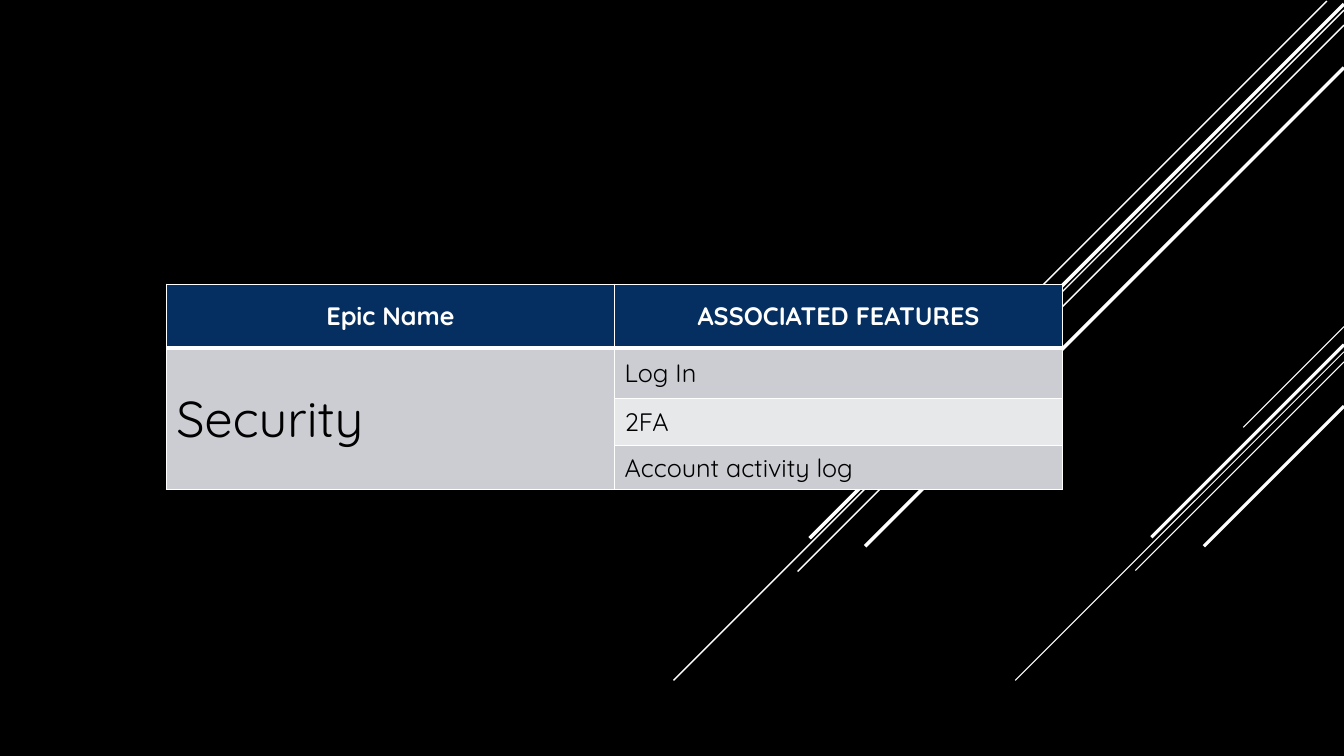
"""Build a dark slide with a table of one epic and its features."""
from lxml import etree
from pptx import Presentation
from pptx import util as u
from pptx.dml.color import RGBColor
from pptx.enum import shapes, text
from pptx.oxml.ns import qn

HEADINGS = ["Epic Name", "ASSOCIATED FEATURES"]
EPIC = "Security"
FEATURES = ["Log In", "2FA", "Account activity log"]

WIDTH, HEIGHT = 13.33, 7.5
TABLE_LEFT, TABLE_TOP, TABLE_WIDTH = 1.65, 2.82, 8.89
ROW_HEIGHTS = [0.63, 0.5, 0.47, 0.44]

# Diagonal rays: right end, top, run (equal across and down), weight in points
RAYS = [
    (WIDTH, 3.24, 1.0, 0.75),
    (WIDTH, 3.49, 3.26, 0.75),
    (WIDTH, 3.59, 2.07, 0.75),
    (WIDTH, 3.42, 1.91, 2.25),
    (WIDTH, 4.03, 1.39, 2.25),
    (13.16, 0.01, 4.16, 1),
    (WIDTH, 0.1, 6.65, 1),
    (WIDTH, 0.25, 5.42, 1),
    (WIDTH, 0.04, 5.3, 2.5),
    (WIDTH, 0.67, 4.75, 2.5),
]

BLACK = RGBColor(0x00, 0x00, 0x00)
WHITE = RGBColor(0xFF, 0xFF, 0xFF)
NAVY = RGBColor(0x05, 0x2F, 0x61)
GREY = RGBColor(0xCC, 0xCD, 0xD2)
PALE = RGBColor(0xE7, 0xE8, 0xEA)


def draw_ray(slide, right, top, run, weight):
    ends = (right, top, right - run, top + run)
    ray = slide.shapes.add_connector(
        shapes.MSO_CONNECTOR.STRAIGHT, *(u.Inches(end) for end in ends))
    ray.line.color.rgb = WHITE
    ray.line.width = u.Pt(weight)
    etree.SubElement(ray._element.spPr, qn("a:effectLst"))


def set_borders(cell, top, bottom):
    properties = cell._tc.get_or_add_tcPr()
    weights = {"a:lnL": 1, "a:lnR": 1, "a:lnT": top, "a:lnB": bottom}
    for place, (tag, weight) in enumerate(weights.items()):
        border = etree.Element(qn(tag), w=str(u.Pt(weight)))
        fill = etree.SubElement(border, qn("a:solidFill"))
        etree.SubElement(fill, qn("a:srgbClr"), val=str(WHITE))
        properties.insert(place, border)


def style_cell(cell, row, column):
    header = row == 0
    cell.fill.solid()
    cell.fill.fore_color.rgb = NAVY if header else GREY if row % 2 else PALE
    set_borders(cell, 3 if row == 1 else 1, 3 if header else 1)
    cell.vertical_anchor = text.MSO_ANCHOR.MIDDLE
    paragraph = cell.text_frame.paragraphs[0]
    paragraph.alignment = text.PP_ALIGN.CENTER if header else text.PP_ALIGN.LEFT
    paragraph.font.name = "Quicksand"
    paragraph.font.size = u.Pt(36 if column == 0 and not header else 18)
    paragraph.font.bold = header
    paragraph.font.color.rgb = WHITE if header else BLACK


def add_epic_table(slide):
    rows = [HEADINGS] + [[EPIC if i == 0 else "", feature]
                         for i, feature in enumerate(FEATURES)]
    table = slide.shapes.add_table(
        len(rows), len(HEADINGS), u.Inches(TABLE_LEFT), u.Inches(TABLE_TOP),
        u.Inches(TABLE_WIDTH), u.Inches(sum(ROW_HEIGHTS))).table
    for r, (words, height) in enumerate(zip(rows, ROW_HEIGHTS)):
        table.rows[r].height = u.Inches(height)
        for c, word in enumerate(words):
            cell = table.cell(r, c)
            cell.text = word
            style_cell(cell, r, c)
    table.cell(1, 0).merge(table.cell(len(FEATURES), 0))


def main():
    deck = Presentation()
    deck.slide_width, deck.slide_height = u.Inches(WIDTH), u.Inches(HEIGHT)
    slide = deck.slides.add_slide(deck.slide_layouts[6])
    slide.background.fill.solid()
    slide.background.fill.fore_color.rgb = BLACK
    for ray in RAYS:
        draw_ray(slide, *ray)
    add_epic_table(slide)
    deck.save("out.pptx")


if __name__ == "__main__":
    main()
